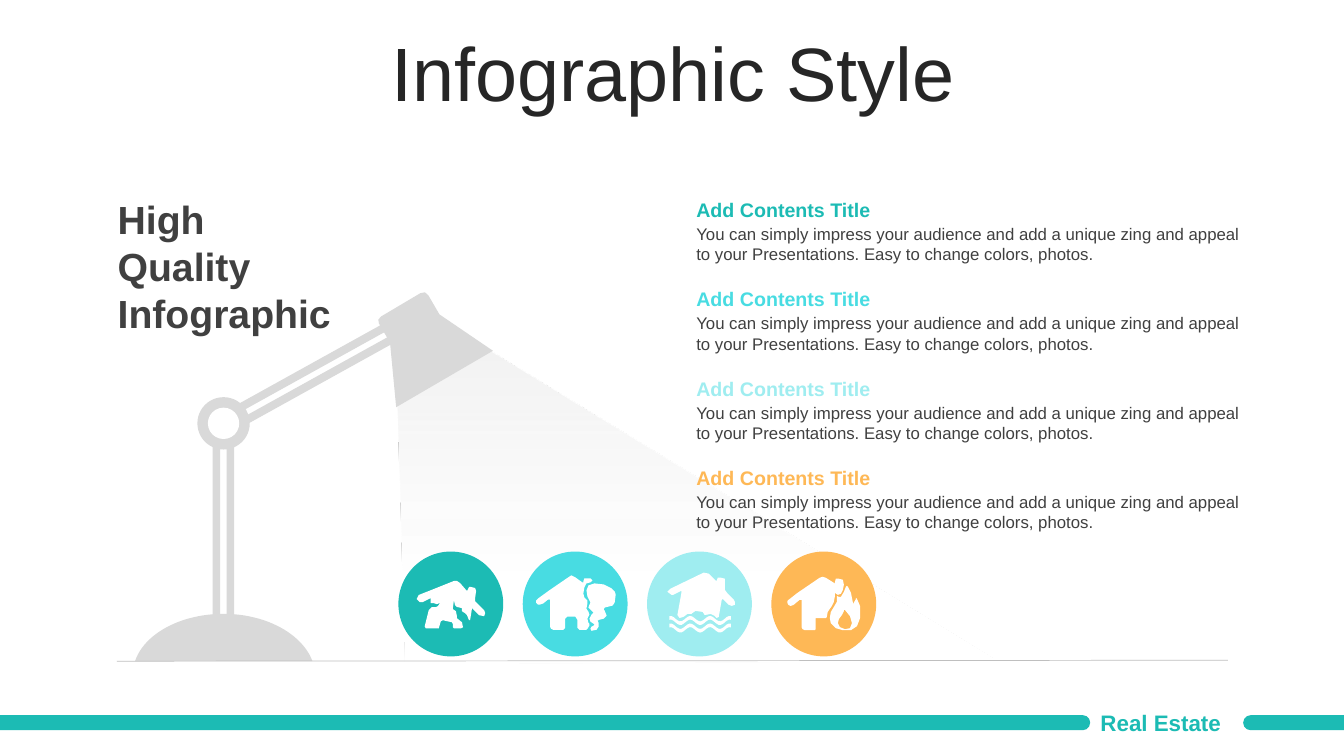
from dataclasses import dataclass
from math import pi, sin

from lxml.etree import SubElement
from pptx import Presentation as Deck
from pptx.dml.color import RGBColor as Color
from pptx.enum.shapes import MSO_CONNECTOR as Link, MSO_SHAPE as Kind
from pptx.enum.text import MSO_ANCHOR as Anchor, PP_ALIGN as Align
from pptx.oxml import parse_xml
from pptx.oxml.ns import nsdecls, qn
from pptx.util import Pt

Point = tuple[float, float]


@dataclass(frozen=True)
class Theme:
    font: str = "Arial"
    teal: str = "1CBBB4"
    aqua: str = "48DCE2"
    pale: str = "9FEDF0"
    amber: str = "FEB856"
    white: str = "FFFFFF"
    glow: str = "F2F2F2"
    lamp: str = "D9D9D9"
    rule: str = "BFBFBF"
    dark: str = "262626"
    ink: str = "404040"
    title: float = 54
    lead: float = 28
    brand: float = 16
    head: float = 14
    body: float = 12


@dataclass(frozen=True)
class Box:
    left: float
    top: float
    width: float
    height: float


@dataclass(frozen=True)
class Part:
    kind: Kind
    box: Box
    fill: str
    turn: float = 0


@dataclass(frozen=True)
class Icon:
    """Loops on a fine grid, with the offset of its corner from its disc."""
    shift: Point
    forms: list[list[str]]


@dataclass(frozen=True)
class Topic:
    color: str
    icon: Icon


T = Theme()
GRID = 0.72  # points per icon unit
BLURB = ("You can simply impress your audience and add a unique zing and appeal "
         "to your Presentations. Easy to change colors, photos.")

BROKEN = ("40,37 45,41 46,46 44,47 37,47 36,46 36,43 35,41 26,39 24,40 22,47 9,47 8,45 "
          "12,29 15,26 19,26 21,25 24,21 23,22 20,23 17,22 14,22 14,17 6,21 3,21 0,18 "
          "2,14 17,8 37,0 40,0 43,2 50,10 51,8 52,6 54,6 58,7 59,10 58,17 58,20 67,29 "
          "68,32 67,35 62,34 55,27 53,39 52,39 50,34 48,32 45,30 45,27 41,26 40,26 "
          "38,24 37,19 36,27 36,28 39,30 40,35")
FLOOD = ("37,42 35,39 28,38 25,40 24,41 20,41 16,44 12,45 10,42 14,20 14,18 12,19 6,22 "
         "4,22 0,19 3,16 32,2 36,0 41,1 48,8 49,8 50,5 53,5 57,6 57,11 57,17 60,21 "
         "66,27 67,29 67,32 64,33 61,32 56,27 55,26 54,27 51,44 49,45 47,43 43,41 38,42")
STORM = ("14,38 14,25 14,24 12,24 7,28 4,29 2,29 0,27 0,25 2,23 13,15 32,2 35,0 39,2 46,7 "
         "47,7 47,6 48,3 51,3 54,3 56,5 54,7 50,8 48,12 47,18 48,22 51,25 51,28 50,33 "
         "52,36 53,39 51,43 52,47 53,48 53,50 51,53 50,54 43,54 41,52 41,44 39,41 31,41 "
         "29,43 29,52 27,54 17,54 15,53 14,51")
FUNNEL = ("79,19 78,27 76,30 72,31 68,32 67,34 68,35 70,40 67,43 63,44 61,45 62,47 62,51 "
          "60,54 55,55 54,53 55,51 57,50 58,49 57,48 54,46 53,43 55,39 57,37 55,35 54,34 "
          "52,32 53,29 54,27 53,25 51,21 50,15 52,10 58,8 67,9 75,13 78,16")
FIRE = ("14,37 14,24 14,23 12,23 6,28 3,29 1,28 0,26 0,24 1,23 10,16 32,1 35,0 38,1 46,6 "
        "47,7 47,6 48,2 51,2 55,3 56,8 55,13 53,17 50,18 47,16 47,20 46,25 44,29 40,35 "
        "39,40 38,41 31,41 28,41 28,43 28,52 27,53 17,53 15,52 14,50")
FLAME = ("59,9 60,10 63,16 65,26 65,27 68,22 68,21 69,22 72,29 72,41 69,49 63,53 55,53 "
         "48,51 43,46 42,41 43,35 46,30 49,25 49,19 51,20 53,20 56,15 58,10")
DROP = "56,33 56,34 54,38 51,42 50,46 52,50 57,52 62,51 64,46 62,39 57,33"


def ripple(top: float) -> str:
    """A wavy band, three ripples long."""
    xs = [2 + i * 61 / 30 for i in range(31)]
    mids = [(x, top + 4.5 - 2.7 * sin((x - 8) * pi / 9.8 + pi)) for x in xs]
    rim = [(x, y - 1.8) for x, y in mids] + [(x, y + 1.8) for x, y in mids[::-1]]
    return " ".join(f"{x:.1f},{y:.1f}" for x, y in rim)


TOPICS = [
    Topic(T.teal, Icon((13, 21), [[BROKEN]])),
    Topic(T.aqua, Icon((9.5, 17), [[STORM], [FUNNEL]])),
    Topic(T.pale, Icon((14.5, 15), [[FLOOD], [ripple(43)], [ripple(50.5)]])),
    Topic(T.amber, Icon((11.5, 18), [[FIRE], [FLAME, DROP]])),
]

LAMP = [
    Part(Kind.RECTANGLE, Box(215.3, 194.4, 5.76, 141.8), T.lamp, 61),
    Part(Kind.RECTANGLE, Box(220.3, 203, 5.76, 141.8), T.lamp, 61),
    Part(Kind.RECTANGLE, Box(151.9, 302.4, 5.4, 141.8), T.lamp),
    Part(Kind.RECTANGLE, Box(161.8, 302.4, 5.4, 141.8), T.lamp),
    Part(Kind.OVAL, Box(141, 283.7, 37.4, 37.4), T.lamp),
    Part(Kind.OVAL, Box(148.5, 291.2, 22.4, 22.4), T.white),
]
BEAM = [(283.7, 287.3), (289.4, 473.8), (710.6, 470.9),
        (350.6, 251.3), (296.6, 274.3)]
SHADE = [(272.2, 226.1), (300.2, 209.5), (303.5, 208.8), (306, 211), (313.9, 224.6),
         (352.1, 250.6), (283, 290.9), (278.6, 244.8), (270.7, 231.1), (270.2, 228.4)]


def curve(a: Point, b: Point, c: Point, d: Point, steps: int = 24) -> list[Point]:
    """Points along a cubic curve."""
    def at(t: float, k: int) -> float:
        s = 1 - t
        return s**3 * a[k] + 3 * s * s * t * b[k] + 3 * s * t * t * c[k] + t**3 * d[k]
    return [(at(i / steps, 0), at(i / steps, 1)) for i in range(steps + 1)]


def paint(shape, fill: str):
    shape.shadow.inherit = False
    shape.fill.solid()
    shape.fill.fore_color.rgb = Color.from_string(fill)
    shape.line.fill.background()
    return shape


def draw(slide, part: Part):
    b = part.box
    shape = slide.shapes.add_shape(part.kind, Pt(b.left), Pt(b.top), Pt(b.width), Pt(b.height))
    shape.rotation = part.turn
    return paint(shape, part.fill)


def trace(slide, loops: list[list[Point]], fill: str):
    """Draw closed loops as one shape; a second loop cuts a hole."""
    loops = [[(Pt(x), Pt(y)) for x, y in loop] for loop in loops]
    pen = slide.shapes.build_freeform(*loops[0][0], scale=1.0)
    for i, loop in enumerate(loops):
        if i:
            pen.move_to(*loop[0])
        pen.add_line_segments(loop[1:], close=True)
    return paint(pen.convert_to_shape(), fill)


def write(slide, box: Box, lines: list[str], size: float, color: str, bold: bool = False,
          align: Align = Align.LEFT, anchor: Anchor = Anchor.MIDDLE, space: float = 1.0) -> None:
    frame = slide.shapes.add_textbox(
        Pt(box.left), Pt(box.top), Pt(box.width), Pt(box.height)).text_frame
    frame.word_wrap = True
    frame.vertical_anchor = anchor
    for i, line in enumerate(lines):
        para = frame.add_paragraph() if i else frame.paragraphs[0]
        para.alignment = align
        para.line_spacing = space
        run = para.add_run()
        run.text = line
        font = run.font
        font.name, font.size, font.bold = T.font, Pt(size), bold
        font.color.rgb = Color.from_string(color)


def shine(shape) -> None:
    """Fade the beam from the lamp down to the floor."""
    stops = [(0, T.white, 20), (27, T.white, 80), (100, T.glow, 100)]
    marks = "".join(f'<a:gs pos="{p * 1000}"><a:srgbClr val="{c}">'
                    f'<a:alpha val="{a * 1000}"/></a:srgbClr></a:gs>' for p, c, a in stops)
    old = shape._element.spPr.find(qn("a:solidFill"))
    old.getparent().replace(old, parse_xml(
        f'<a:gradFill {nsdecls("a")} rotWithShape="1"><a:gsLst>{marks}</a:gsLst>'
        '<a:lin ang="16200000" scaled="0"/></a:gradFill>'))


def stripe(slide, left: float, width: float, turn: float) -> None:
    """A footer bar with one round end."""
    box = Box(left + width / 2 - 5.4, 516.2 - width / 2, 10.8, width)
    bar = draw(slide, Part(Kind.ROUND_2_SAME_RECTANGLE, box, T.teal, turn))
    bar.adjustments[0], bar.adjustments[1] = 0.5, 0


def stamp(slide, icon: Icon, left: float, top: float) -> None:
    for form in icon.forms:
        pairs = [[map(float, p.split(",")) for p in loop.split()] for loop in form]
        trace(slide, [[(left + x * GRID, top + y * GRID) for x, y in loop]
                      for loop in pairs], T.white)


def main() -> None:
    deck = Deck()
    deck.slide_width, deck.slide_height = Pt(960), Pt(540)
    slide = deck.slides.add_slide(deck.slide_layouts[6])
    stripe(slide, 0, 778.7, 90)
    stripe(slide, 888, 72, 270)
    write(slide, Box(779, 502.6, 108.7, 26.6), ["Real Estate"], T.brand, T.teal, True,
          Align.JUSTIFY)
    write(slide, Box(25.2, 26.6, 911.5, 56.9), ["Infographic Style"], T.title, T.dark,
          align=Align.CENTER, space=0.9)
    shine(trace(slide, [BEAM], T.glow))
    for part in LAMP:
        draw(slide, part)
    base = (curve((96.5, 472.3), (103, 452.9), (128.9, 438.5), (159.8, 438.5))
            + curve((159.8, 438.5), (190.1, 438.5), (216, 452.9), (223.2, 472.3)))
    trace(slide, [base], T.lamp)
    trace(slide, [SHADE], T.lamp)
    write(slide, Box(77, 136.1, 299.5, 108.7), ["High", "Quality", "Infographic"],
          T.lead, T.ink, True, anchor=Anchor.TOP)
    floor = slide.shapes.add_connector(Link.STRAIGHT, Pt(83.5), Pt(472.3), Pt(877), Pt(471.6))
    floor.line.color.rgb = Color.from_string(T.rule)
    floor.line.width = Pt(0.5)
    SubElement(floor._element.spPr, qn("a:effectLst"))
    for i, topic in enumerate(TOPICS):
        left, top, row = 284.6 + i * 88.8, 394, i * 63.84
        draw(slide, Part(Kind.OVAL, Box(left, top, 74.9, 74.9), topic.color))
        stamp(slide, topic.icon, left + topic.icon.shift[0], top + topic.icon.shift[1])
        write(slide, Box(490.3, 156.2 + row, 403.2, 36), [BLURB], T.body, T.ink)
        write(slide, Box(490.3, 137.5 + row, 403.2, 24.5), ["Add Contents Title"],
              T.head, topic.color, True)
    deck.save("out.pptx")


if __name__ == "__main__":
    main()
